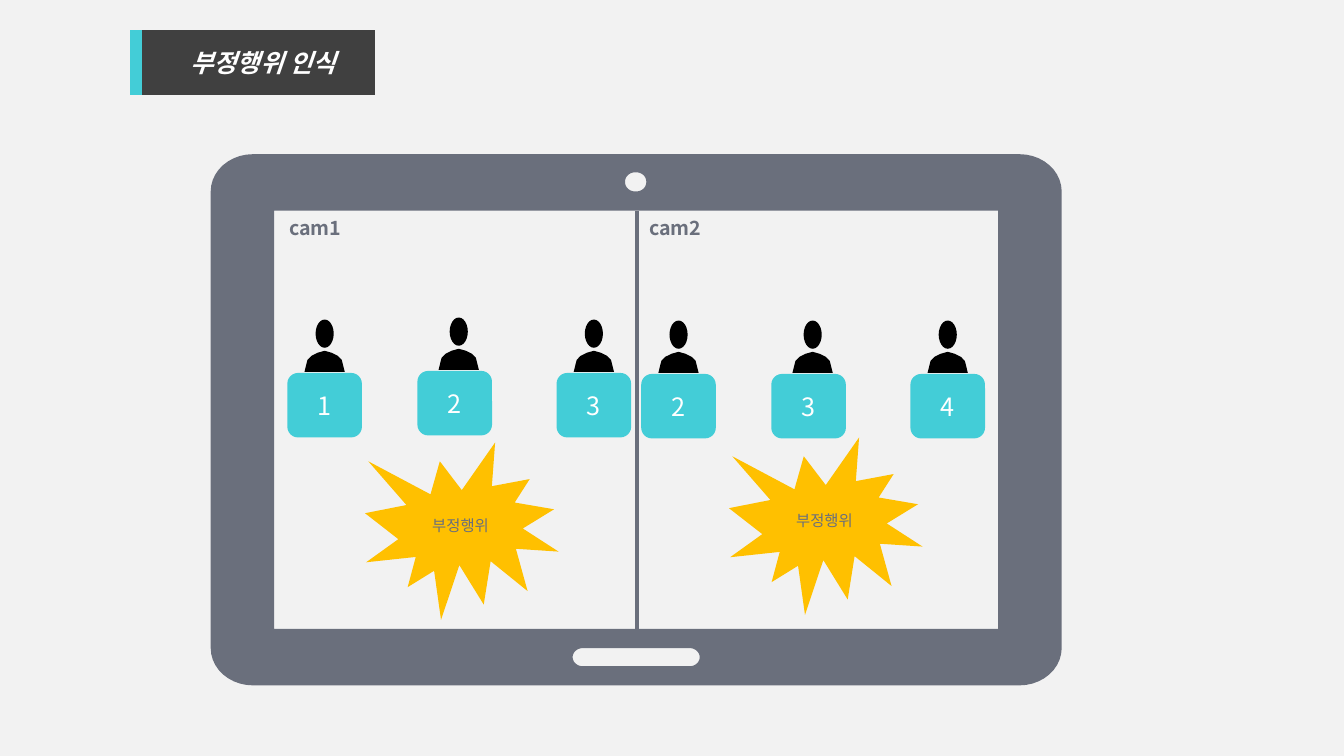
from math import cos, pi, sin

from lxml.etree import SubElement
from pptx import Presentation
from pptx.dml.color import RGBColor
from pptx.enum.shapes import MSO_CONNECTOR, MSO_SHAPE as Shape
from pptx.enum.text import MSO_ANCHOR as Anchor, MSO_AUTO_SIZE as AutoSize, PP_ALIGN as Align
from pptx.oxml.ns import qn
from pptx.util import Inches, Pt

# Content
TITLE = "부정행위 인식"
CAMERAS = [("cam1", 2.77), ("cam2", 6.34)]  # label, left
ALERT = "부정행위"
ALERT_SPOTS = [(3.62, 4.39), (7.23, 4.34)]
SEATS = [  # number, desk left, desk top, head centre from desk left
    ("1", 2.85, 3.70, 0.37), ("2", 4.14, 3.68, 0.41), ("3", 5.52, 3.70, 0.37),
    ("2", 6.36, 3.71, 0.37), ("3", 7.65, 3.71, 0.41), ("4", 9.03, 3.71, 0.37),
]
# Tablet outlines: left, top, width, height, corner radii
TABLET = [
    (2.09, 1.53, 8.44, 5.27, 0.42, 0.37),   # body
    (2.72, 2.09, 7.18, 4.15, 0, 0),         # screen
    (5.68, 6.43, 1.26, 0.18, 0.1, 0.09),    # home button
    (6.2, 1.71, 0.21, 0.19, 0.1, 0.09),     # lens
]
# Right half of the shoulders, from the neck down: x from centre, y from head top
SHOULDER = [(0, 0.31), (0.07, 0.33), (0.13, 0.36), (0.17, 0.4), (0.18, 0.44), (0.2, 0.52)]

FONT = "Noto Sans CJK KR"
PAPER, SLATE, TEAL, DARK = "F2F2F2", "6A6F7C", "43CDD7", "404040"
YELLOW, BLACK, WHITE = "FFC000", "000000", "FFFFFF"


def color(value):
    return RGBColor.from_string(value)


def write(shape, text, size, ink, align=Align.CENTER, anchor=Anchor.MIDDLE,
          bold=False, italic=False):
    frame = shape.text_frame
    frame.word_wrap = True
    frame.vertical_anchor = anchor
    line = frame.paragraphs[0]
    line.text = text
    line.alignment = align
    font = line.font
    font.size, font.bold, font.italic = Pt(size), bold, italic
    font.color.rgb = color(ink)
    font.name = FONT
    SubElement(line._p.pPr.find(qn("a:defRPr")), qn("a:ea")).set("typeface", FONT)


def paint(shape, fill):
    shape.shadow.inherit = False
    shape.fill.solid()
    shape.fill.fore_color.rgb = color(fill)
    shape.line.fill.background()
    return shape


def add_part(kind, left, top, width, height, fill):
    return paint(slide.shapes.add_shape(
        kind, Inches(left), Inches(top), Inches(width), Inches(height)), fill)


def add_outline(contours, fill):
    builder = None
    for contour in contours:
        first, *rest = [(Inches(x), Inches(y)) for x, y in contour]
        if builder is None:
            builder = slide.shapes.build_freeform(*first)
        else:
            builder.move_to(*first)
        builder.add_line_segments(rest, close=True)
    return paint(builder.convert_to_shape(), fill)


def rounded(left, top, width, height, rx, ry, steps=10):
    """Points around a rectangle with elliptical corners."""
    right, bottom = left + width - rx, top + height - ry
    centres = [(right, bottom), (left + rx, bottom), (left + rx, top + ry), (right, top + ry)]
    if not rx:
        return centres
    return [(x + rx * cos(angle), y + ry * sin(angle))
            for quarter, (x, y) in enumerate(centres)
            for angle in [(quarter + i / steps) * pi / 2 for i in range(steps + 1)]]


prs = Presentation()
prs.slide_width, prs.slide_height = Inches(13.33), Inches(7.5)
slide = prs.slides.add_slide(prs.slide_layouts[5])
slide.background.fill.solid()
slide.background.fill.fore_color.rgb = color(PAPER)

# Title bar: dark with a hard-edged teal strip on the left
title = slide.shapes.title
title.left, title.top, title.width, title.height = map(Inches, (1.29, 0.3, 2.43, 0.64))
title.fill.gradient()
title.fill.gradient_angle = 180
for stop, tone in zip(title.fill.gradient_stops, (DARK, TEAL)):
    stop.position = 0.95
    stop.color.rgb = color(tone)
title.text_frame.auto_size = AutoSize.NONE
title.text_frame.margin_left = Inches(0.6)
write(title, TITLE, 18, WHITE, Align.LEFT, bold=True, italic=True)

# Tablet and the line between its two views
add_outline([rounded(*outline) for outline in TABLET], SLATE)
divider = slide.shapes.add_connector(
    MSO_CONNECTOR.STRAIGHT, Inches(6.32), Inches(2.09), Inches(6.32), Inches(6.27))
divider.line.color.rgb = color(SLATE)
divider.line.width = Pt(3)
SubElement(divider._element.spPr, qn("a:effectLst"))

# Students at their desks
for number, left, top, lean in SEATS:
    desk = add_part(Shape.ROUNDED_RECTANGLE, left, top, 0.74, 0.64, TEAL)
    write(desk, number, 18, WHITE)
    centre, crown = left + lean, top - 0.53
    add_part(Shape.OVAL, centre - 0.09, crown, 0.18, 0.28, BLACK)
    right_side = [(centre + x, crown + y) for x, y in SHOULDER]
    left_side = [(centre - x, crown + y) for x, y in reversed(SHOULDER[1:])]
    add_outline([right_side + left_side], BLACK)

# Alerts
for left, top in ALERT_SPOTS:
    burst = add_part(Shape.EXPLOSION1, left, top, 1.92, 1.76, YELLOW)
    write(burst, ALERT, 11, SLATE)

# Camera labels
for name, left in CAMERAS:
    label = slide.shapes.add_textbox(Inches(left), Inches(2.09), Inches(0.84), Inches(0.34))
    write(label, name, 14, SLATE, Align.LEFT, Anchor.TOP, bold=True)

prs.save("out.pptx")
